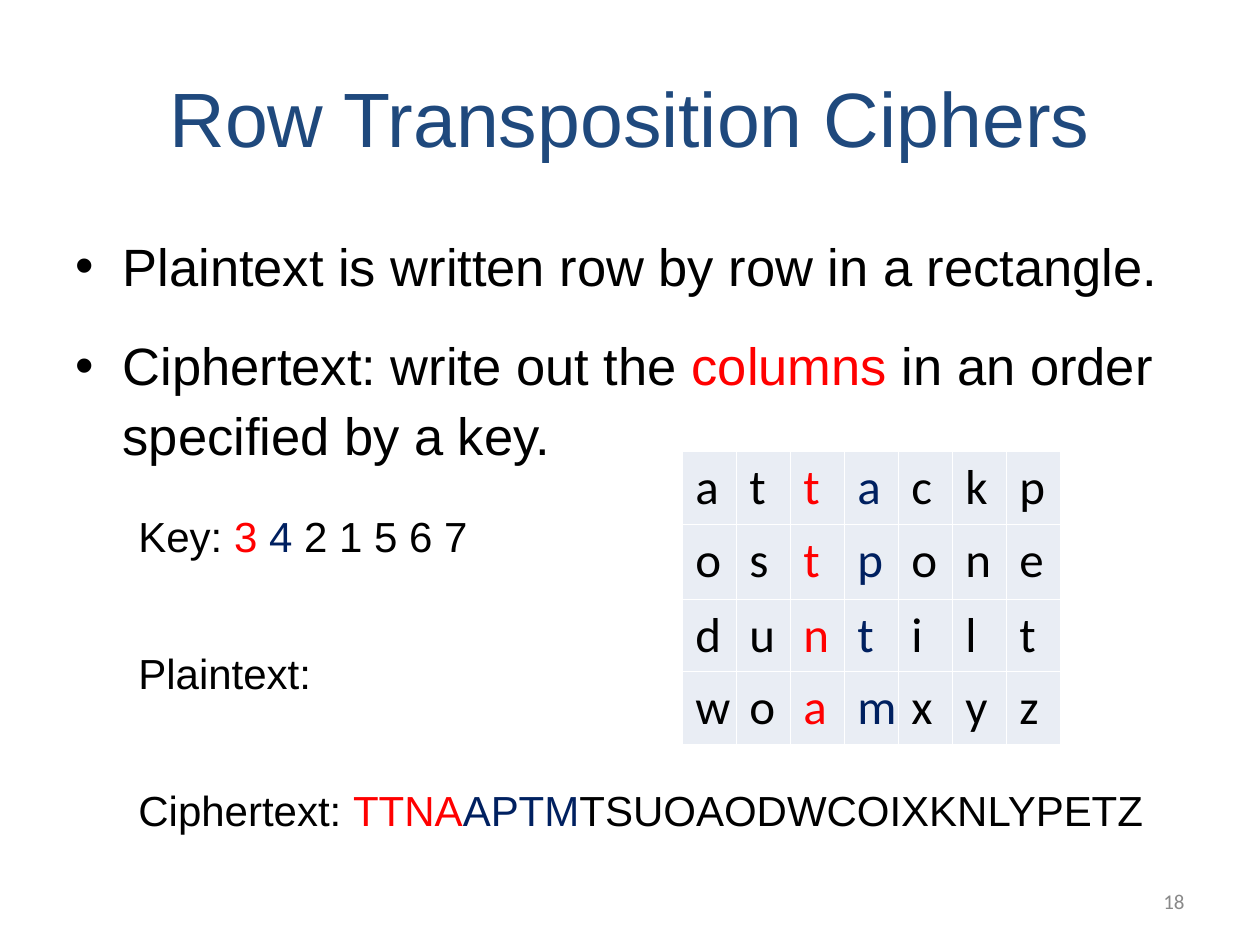
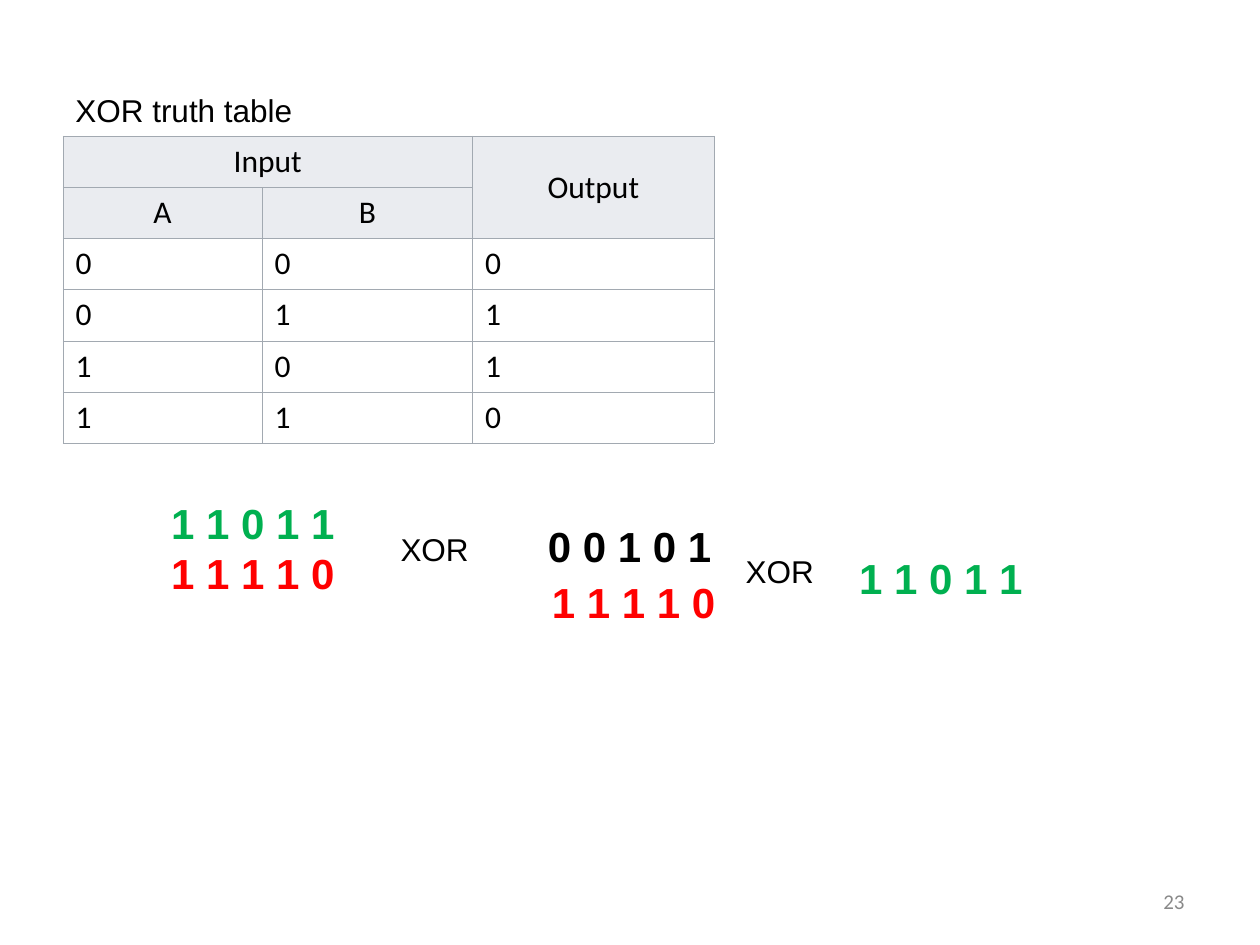
from dataclasses import dataclass

from lxml.etree import SubElement
from pptx import Presentation
from pptx.dml.color import RGBColor
from pptx.enum.text import MSO_ANCHOR as Anchor, PP_ALIGN as Align
from pptx.oxml.ns import qn
from pptx.slide import Slide
from pptx.table import Table, _Cell as Cell
from pptx.util import Pt

BLACK = RGBColor(0x00, 0x00, 0x00)
WHITE = RGBColor(0xFF, 0xFF, 0xFF)
RED = RGBColor(0xFF, 0x00, 0x00)
GREEN = RGBColor(0x00, 0xB0, 0x50)
NAVY = RGBColor(0x00, 0x20, 0x60)
TITLE_BLUE = RGBColor(0x1F, 0x49, 0x7D)
NUMBER_GREY = RGBColor(0x89, 0x89, 0x89)
LETTER_FILL = RGBColor(0xE9, 0xED, 0xF4)
HEADER_FILL = RGBColor(0xEA, 0xEC, 0xF0)
RULE_GREY = RGBColor(0xA2, 0xA9, 0xB1)

LETTERS = ["attackp", "ostpone", "duntilt", "woamxyz"]
KEYED_COLUMNS = {2: RED, 3: NAVY}
TRUTH_ROWS = [["Input", "", "Output"], ["A", "B", ""], "000", "011", "101", "110"]
HEADER_ROWS = 2


@dataclass(frozen=True)
class Area:
    left: float
    top: float
    width: float
    height: float


@dataclass(frozen=True)
class Span:
    text: str
    color: RGBColor | None = None


@dataclass(frozen=True)
class Para:
    spans: list[Span]
    size: float
    color: RGBColor = BLACK
    font: str = "Arial"
    bold: bool = False
    align: Align = Align.LEFT
    before: float = 0
    spacing: float = 1
    margin: float = 0
    bullet: str = ""


@dataclass(frozen=True)
class Grid:
    area: Area
    widths: list[float]
    heights: list[float]
    border: RGBColor
    border_width: float


TITLE_AREA = Area(36, 21.6, 648, 90)
BODY_AREA = Area(36, 126.3, 648, 356)
NUMBER_AREA = Area(516.2, 500.4, 167.8, 28.8)
LETTER_GRID = Grid(Area(390.2, 257.8, 216, 165.6), [30.86] * 7,
                   [41.8, 42.8, 41.4, 41.4], WHITE, 0.45)
TRUTH_GRID = Grid(Area(36, 77.8, 372.2, 175.5), [113.8, 120.2, 138.2],
                  [29.25] * 6, RULE_GREY, 0.28)


def fill_paragraph(paragraph, para: Para) -> None:
    properties = paragraph._p.get_or_add_pPr()
    properties.set("marL", str(Pt(para.margin)))
    properties.set("indent", str(-Pt(para.margin) if para.bullet else 0))
    if para.bullet:
        SubElement(properties, qn("a:buFont")).set("typeface", "Arial")
        SubElement(properties, qn("a:buChar")).set("char", para.bullet)
    paragraph.alignment = para.align
    paragraph.line_spacing = para.spacing
    paragraph.space_before = Pt(para.before)
    paragraph.font.name = para.font
    paragraph.font.size = Pt(para.size)
    paragraph.font.bold = para.bold
    paragraph.font.color.rgb = para.color
    for span in para.spans:
        run = paragraph.add_run()
        run.text = span.text
        if span.color is not None:
            run.font.color.rgb = span.color


def add_text(slide: Slide, area: Area, paras: list[Para],
             anchor: Anchor = Anchor.TOP) -> None:
    box = slide.shapes.add_textbox(Pt(area.left), Pt(area.top),
                                   Pt(area.width), Pt(area.height))
    frame = box.text_frame
    frame.word_wrap = True
    frame.vertical_anchor = anchor
    for index, para in enumerate(paras):
        fill_paragraph(frame.add_paragraph() if index else frame.paragraphs[0], para)


def add_page_number(slide: Slide, number: int) -> None:
    label = Para([Span(str(number))], 12, NUMBER_GREY, "Calibri", align=Align.RIGHT)
    add_text(slide, NUMBER_AREA, [label], Anchor.MIDDLE)


def add_grid(slide: Slide, grid: Grid) -> Table:
    """Add an empty table with plain style and the sizes of the grid."""
    area = grid.area
    table = slide.shapes.add_table(
        len(grid.heights), len(grid.widths), Pt(area.left), Pt(area.top),
        Pt(area.width), Pt(area.height)).table
    table.first_row = table.horz_banding = False
    for column, width in zip(table.columns, grid.widths):
        column.width = Pt(width)
    for row, height in zip(table.rows, grid.heights):
        row.height = Pt(height)
    return table


def fill_cell(cell: Cell, para: Para, grid: Grid, fill: RGBColor | None,
              anchor: Anchor = Anchor.TOP) -> None:
    properties = cell._tc.get_or_add_tcPr()
    for side in ("lnL", "lnR", "lnT", "lnB"):
        line = SubElement(properties, qn(f"a:{side}"))
        line.set("w", str(Pt(grid.border_width)))
        solid = SubElement(line, qn("a:solidFill"))
        SubElement(solid, qn("a:srgbClr")).set("val", str(grid.border))
    if fill is None:
        cell.fill.background()
    else:
        cell.fill.solid()
        cell.fill.fore_color.rgb = fill
    cell.vertical_anchor = anchor
    fill_paragraph(cell.text_frame.paragraphs[0], para)


def build_transposition_slide(slide: Slide) -> None:
    title = Para([Span("Row Transposition Ciphers")], 44, TITLE_BLUE, align=Align.CENTER)
    add_text(slide, TITLE_AREA, [title], Anchor.MIDDLE)

    bullet = dict(size=30, spacing=1.1, margin=27, bullet="•")
    example = dict(size=24, margin=36)
    add_text(slide, BODY_AREA, [
        Para([Span("Plaintext is written row by row in a rectangle.")], **bullet),
        Para([Span("Ciphertext: write out the "), Span("columns", RED),
              Span(" in an order specified by a key.")], before=17.5, **bullet),
        Para([Span("Key: "), Span("3 ", RED), Span("4", NAVY), Span(" 2 1 5 6 7")],
             before=25.4, **example),
        Para([Span("Plaintext:")], before=49.6, **example),
        Para([Span("Ciphertext: "), Span("TTNA", RED), Span("APTM", NAVY),
              Span("TSUOAODWCOIXKNLYPETZ")], before=49.6, **example),
    ])

    table = add_grid(slide, LETTER_GRID)
    for row, word in enumerate(LETTERS):
        for column, letter in enumerate(word):
            para = Para([Span(letter)], 28, KEYED_COLUMNS.get(column, BLACK), "Calibri")
            fill_cell(table.cell(row, column), para, LETTER_GRID, LETTER_FILL)
    add_page_number(slide, 18)


def build_xor_slide(slide: Slide) -> None:
    table = add_grid(slide, TRUTH_GRID)
    for row, values in enumerate(TRUTH_ROWS):
        is_header = row < HEADER_ROWS
        for column, value in enumerate(values):
            para = Para([Span(value)] if value else [], 18, font="Calibri",
                        align=Align.CENTER if is_header else Align.LEFT)
            fill_cell(table.cell(row, column), para, TRUTH_GRID,
                      HEADER_FILL if is_header else None, Anchor.MIDDLE)
    table.cell(0, 0).merge(table.cell(0, 1))
    table.cell(0, 2).merge(table.cell(1, 2))

    add_text(slide, Area(36, 48.2, 648, 28.8),
             [Para([Span("XOR truth table")], 18)], Anchor.MIDDLE)

    def bits(text: str, color: RGBColor) -> Para:
        return Para([Span(text)], 24, color, bold=True)

    message, key = bits("1 1 0 1 1", GREEN), bits("1 1 1 1 0", RED)
    operator = Para([Span("XOR")], 18)
    for left, top, paras in [
        (90.7, 280.8, [message, key]),
        (221.8, 299.2, [operator]),
        (306, 293.8, [bits("0 0 1 0 1", BLACK)]),
        (308.2, 325.8, [key]),
        (419, 311.8, [operator]),
        (483.8, 312.2, [message]),
    ]:
        width, height = (56, 28.8) if paras == [operator] else (112, 7.2 + 28.8 * len(paras))
        add_text(slide, Area(left, top, width, height), paras)
    add_page_number(slide, 23)


def main() -> None:
    deck = Presentation()
    deck.slide_width, deck.slide_height = Pt(720), Pt(540)
    blank = deck.slide_layouts[6]
    for build in (build_transposition_slide, build_xor_slide):
        build(deck.slides.add_slide(blank))
    deck.save("out.pptx")


if __name__ == "__main__":
    main()
